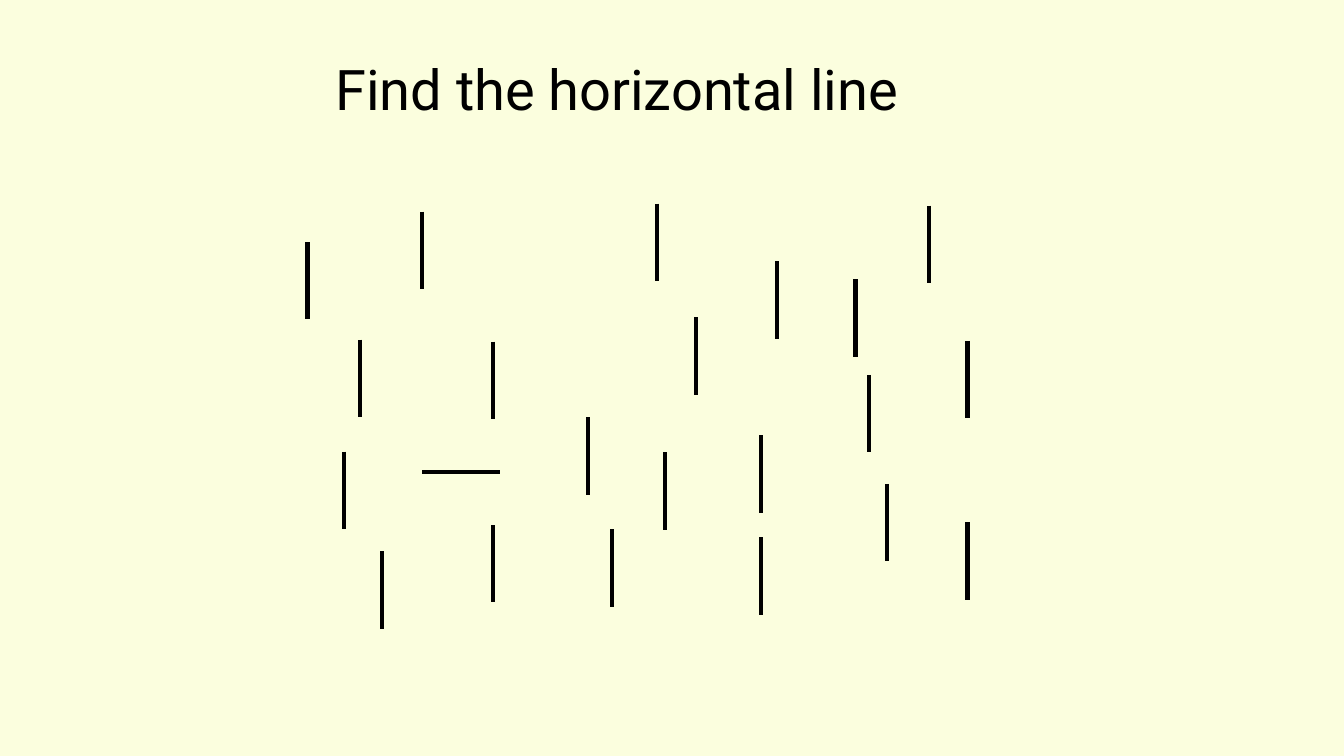
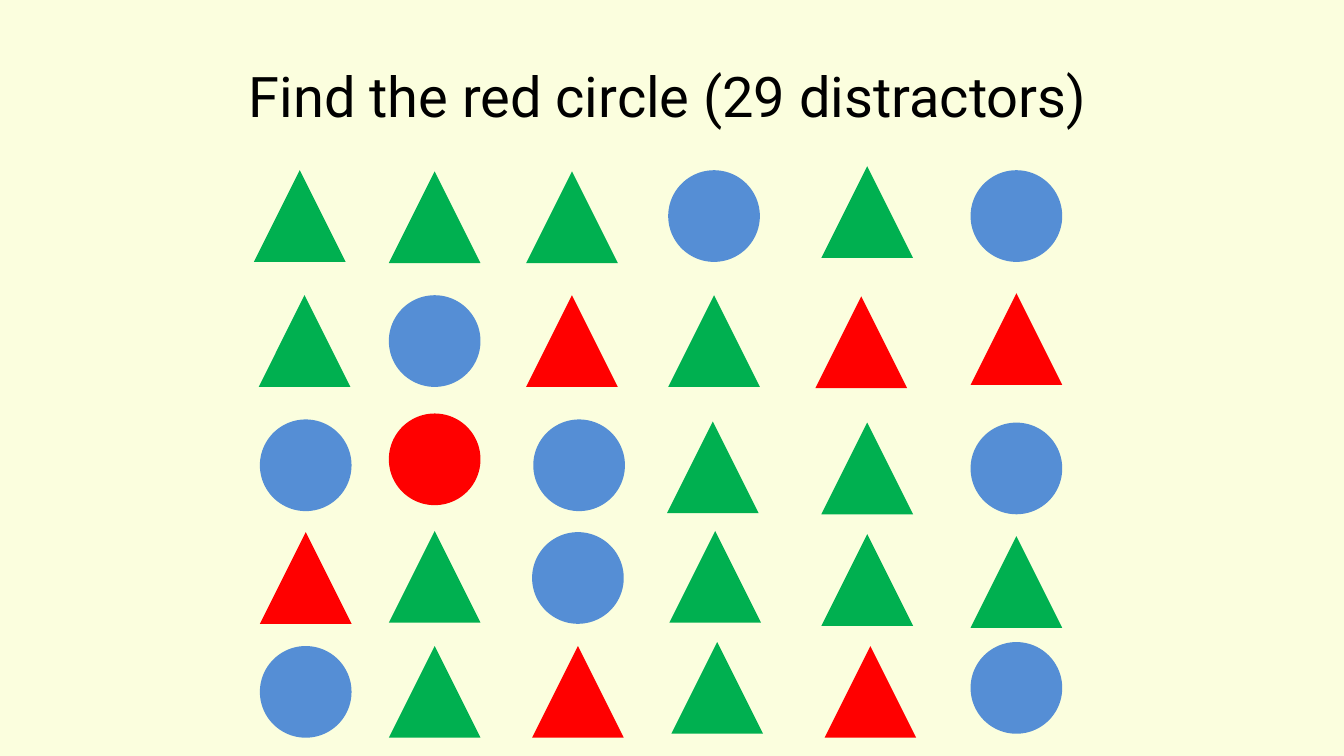
"""Build two visual search slides: one odd line, and one odd shape."""
from collections import namedtuple

from lxml.etree import SubElement
from pptx import Presentation
from pptx.dml.color import RGBColor
from pptx.enum.shapes import MSO_CONNECTOR as Link, MSO_SHAPE as Shape
from pptx.enum.text import MSO_AUTO_SIZE as Fit
from pptx.oxml.ns import qn
from pptx.util import Cm, Pt

Area = namedtuple("Area", "left top width height")

FONT = "Roboto"
CREAM, BLACK = "FBFEDE", "000000"
GREEN, BLUE, RED = "00B050", "558ED5", "FF0000"

LINE_LENGTH = 1.95
UPRIGHTS = [
    (3.14, 0.33), (0.25, 1.1), (1.57, 3.56), (4.92, 3.61), (9.06, 0.13),
    (12.08, 1.58), (14.06, 2.04), (15.92, 0.18), (4.92, 8.23), (1.16, 6.38),
    (7.31, 5.52), (9.26, 6.4), (11.68, 5.97), (10.03, 3), (16.88, 3.59),
    (14.39, 4.45), (11.68, 8.54), (7.92, 8.34), (14.85, 7.19), (16.88, 8.16),
    (2.13, 8.89),
]
LEVEL = (3.14, 6.89)

SHAPE_SIZE = 2.31
COLUMNS = (0, 3.25, 6.86, 10.29, 14.15, 17.91)
ROWS = (0, 3.15, 6.28, 9.12, 11.99)
LAYOUT = ("GGGBGB", "GBRGRR", "BTBGGB", "RGBGGG", "BGRGRB")
SYMBOLS = {
    "G": (Shape.ISOSCELES_TRIANGLE, GREEN),
    "R": (Shape.ISOSCELES_TRIANGLE, RED),
    "B": (Shape.OVAL, BLUE),
    "T": (Shape.OVAL, RED),
}
NUDGES = {
    (0, 0): (-0.15, 0), (0, 1): (0, 0.03), (0, 2): (-0.15, 0.03),
    (0, 4): (0, -0.1), (1, 0): (-0.03, 0), (1, 2): (-0.15, 0),
    (1, 4): (-0.15, 0.03), (1, 5): (0, -0.05), (2, 1): (0, -0.15),
    (2, 2): (0.03, 0), (2, 3): (-0.03, 0.05), (2, 4): (0, 0.08),
    (2, 5): (0, 0.08), (3, 1): (0, -0.03), (3, 3): (0.03, -0.03),
    (3, 4): (0, 0.05), (3, 5): (0, 0.1), (4, 3): (0.08, -0.1),
    (4, 4): (0.08, 0), (4, 5): (0, -0.1),
}


def paint(color_format, color):
    """Set a colour format from a hex string."""
    color_format.rgb = RGBColor.from_string(color)


def add_page(deck):
    """Add a blank page with the shared background."""
    page = deck.slides.add_slide(deck.slide_layouts[6])
    fill = page.background.fill
    fill.solid()
    paint(fill.fore_color, CREAM)
    return page


def add_title(page, area, text):
    """Write the page title in the given area."""
    box = page.shapes.add_textbox(*map(Cm, area))
    frame = box.text_frame
    frame.word_wrap = True
    frame.auto_size = Fit.SHAPE_TO_FIT_TEXT
    span = frame.paragraphs[0].add_run()
    span.text = text
    span.font.name = FONT
    span.font.size = Pt(40)
    paint(span.font.color, BLACK)


def add_line(page, left, top, width=0, height=0):
    """Draw one straight black line without a shadow."""
    line = page.shapes.add_connector(
        Link.STRAIGHT, Cm(left), Cm(top), Cm(left + width), Cm(top + height))
    paint(line.line.color, BLACK)
    line.line.width = Pt(3)
    SubElement(line._element.spPr, qn("a:effectLst"))


def add_line_field(page, area):
    """Scatter upright lines and one level line over the area."""
    for across, down in UPRIGHTS:
        add_line(page, area.left + across, area.top + down, height=LINE_LENGTH)
    across, down = LEVEL
    add_line(page, area.left + across, area.top + down, width=LINE_LENGTH)


def add_symbol(page, left, top, kind, color):
    """Draw one plain filled shape."""
    symbol = page.shapes.add_shape(
        kind, Cm(left), Cm(top), Cm(SHAPE_SIZE), Cm(SHAPE_SIZE))
    symbol.shadow.inherit = False
    symbol.fill.solid()
    paint(symbol.fill.fore_color, color)
    symbol.line.fill.background()


def add_shape_field(page, area):
    """Fill the area with the slightly uneven grid of shapes."""
    for row, letters in enumerate(LAYOUT):
        for column, letter in enumerate(letters):
            across, down = NUDGES.get((row, column), (0, 0))
            add_symbol(page, area.left + COLUMNS[column] + across,
                       area.top + ROWS[row] + down, *SYMBOLS[letter])


def main():
    """Build and save the deck."""
    deck = Presentation()
    deck.slide_width, deck.slide_height = Cm(33.87), Cm(19.05)

    page = add_page(deck)
    add_title(page, Area(8.2, 1.24, 16.94, 1.96), "Find the horizontal line")
    add_line_field(page, Area(7.5, 5, 17, 11))

    page = add_page(deck)
    add_shape_field(page, Area(6.55, 4.29, 20.22, 14.3))
    add_title(page, Area(6.02, 1.42, 21.84, 1.96),
              "Find the red circle (29 distractors)")

    deck.save("out.pptx")


if __name__ == "__main__":
    main()
